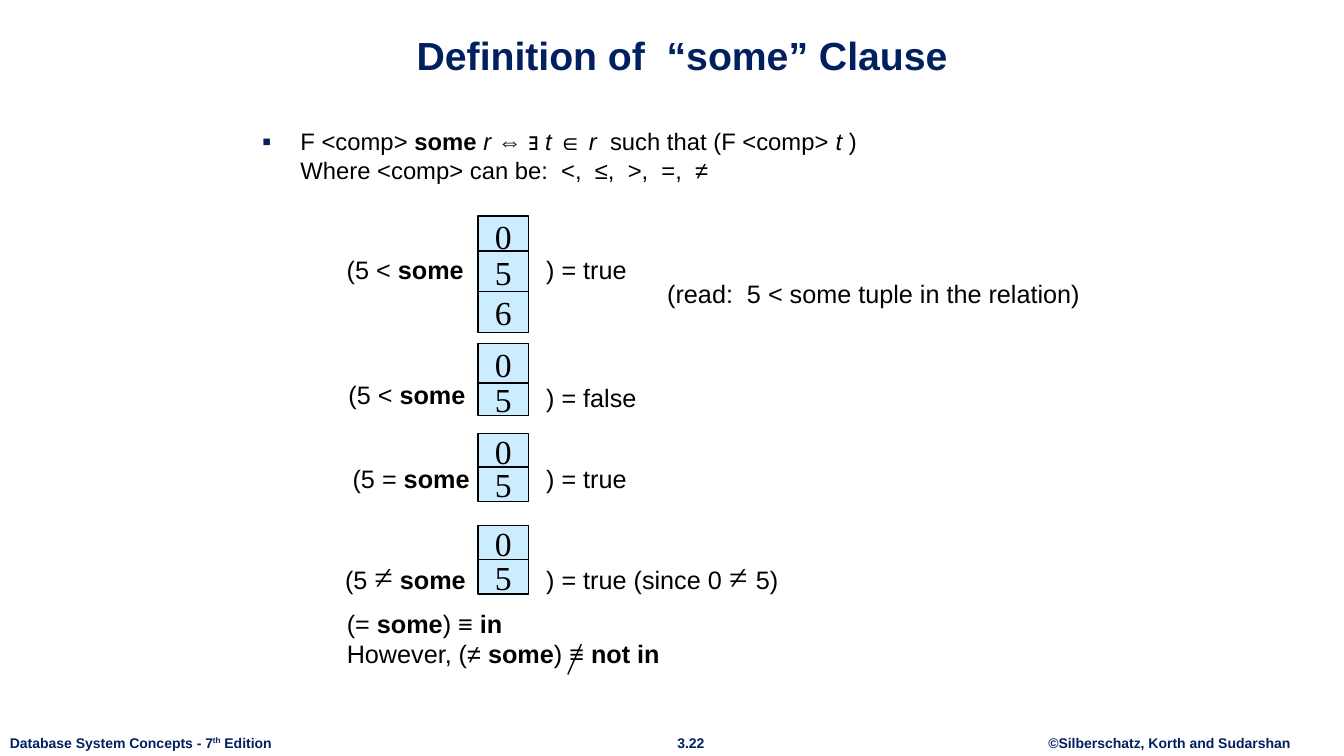
from lxml import etree
from pptx import Presentation
from pptx.dml.color import RGBColor
from pptx.enum.shapes import MSO_CONNECTOR, MSO_SHAPE
from pptx.enum.text import MSO_ANCHOR, MSO_AUTO_SIZE, PP_ALIGN
from pptx.oxml.ns import qn
from pptx.util import Inches, Pt

WIDE, HIGH = Inches(13.33), Inches(7.5)
COLS, ROWS = 160, 90
RECT, LINE = MSO_SHAPE.RECTANGLE, MSO_CONNECTOR.STRAIGHT
LEFT, MID = PP_ALIGN.LEFT, PP_ALIGN.CENTER
TOP, HALF, BASE = MSO_ANCHOR.TOP, MSO_ANCHOR.MIDDLE, MSO_ANCHOR.BOTTOM
FIXED = MSO_AUTO_SIZE.NONE
HUES = {"ink": "000000", "navy": "002060", "cell": "CCECFF"}

LOOKS = {
    "title": {"name": "Arial", "size": Pt(28), "bold": True, "hue": "navy"},
    "foot": {"name": "Arial", "size": Pt(10), "bold": True, "hue": "navy"},
    "body": {"name": "Arial", "size": Pt(17), "hue": "ink"},
    "label": {"name": "Arial", "size": Pt(18), "hue": "ink"},
    "value": {"name": "Times New Roman", "size": Pt(24), "hue": "ink"},
}
MARKS = {
    "": {},
    "b": {"bold": True},
    "i": {"italic": True},
    "sign": {"name": "Times New Roman", "size": Pt(24)},
    "sup": {"raise": "30000"},
}

CELL_X, CELL_W, END_X = 56.9, 6, 63.84
TESTS = [
    {"top": 25.7, "cells": [("0", 0, 4.9), ("5", 4.2, 4.9), ("6", 9, 4.9)],
     "start": (40.1, 4), "end": 4,
     "left": [("(5 < ", ""), ("some", "b")], "right": [(") = true", "")]},
    {"top": 40.9, "cells": [("0", 0, 5), ("5", 4.7, 3.9)],
     "start": (40.3, 3.7), "end": 4,
     "left": [("(5 < ", ""), ("some", "b")], "right": [(") = false", "")]},
    {"top": 51.6, "cells": [("0", 0, 4.1), ("5", 4, 4.1)],
     "start": (40.8, 3), "end": 3,
     "left": [("(5 = ", ""), ("some", "b")], "right": [(") = true", "")]},
    {"top": 62.6, "cells": [("0", 0, 4.1), ("5", 4, 4.1)],
     "start": (39.9, 3), "end": 3,
     "left": [("(5 ", ""), ("≠", "sign"), (" ", ""), ("some", "b")],
     "right": [(") = true (since 0 ", ""), ("≠ ", "sign"), ("5)", "")]},
]
RULE = [
    ("F <comp> ", ""), ("some ", "b"), ("r ", "i"), ("⇔ ∃ ", ""), ("t ", "i"),
    ("∈", ""), (" r  ", "i"), ("such that (F <comp> ", ""), ("t ", "i"),
    (")\nWhere <comp> can be:  <,  ≤,  >,  =,  ≠", ""),
]
SUMS = [
    [("(= ", ""), ("some", "b"), (") ≡ ", ""), ("in", "b")],
    [("However, (≠ ", ""), ("some", "b"), (") ≡ ", ""), ("not in", "b")],
]
FEET = [
    ((0, 86.8, 34.1, 3.2), LEFT,
     [("Database System Concepts - 7", ""), ("th", "sup"), (" Edition", "")]),
    ((79.3, 86.8, 5.9, 3.2), MID, [("3.22", "")]),
    ((123.4, 86.8, 31.6, 3.2), MID, [("©Silberschatz, Korth and Sudarshan", "")]),
]


def grid(box):
    """Turn columns and rows into slide lengths."""
    x, y, w, h = box
    return [round(n) for n in (x * WIDE / COLS, y * HIGH / ROWS,
                               w * WIDE / COLS, h * HIGH / ROWS)]


def tint(name):
    """Give the named colour."""
    return RGBColor.from_string(HUES[name])


def style(run, look):
    """Set the font of a run from format values."""
    for key, val in look.items():
        if key == "hue":
            run.font.color.rgb = tint(val)
        elif key == "raise":
            run.font._element.set("baseline", val)
        else:
            setattr(run.font, key, val)


def write(shape, paras, look, align=LEFT, anchor=TOP, wrap=True):
    """Fill a shape with paragraphs of marked runs."""
    frame = shape.text_frame
    values = {"word_wrap": wrap, "auto_size": FIXED, "vertical_anchor": anchor}
    for key, val in values.items():
        setattr(frame, key, val)
    for n, runs in enumerate(paras):
        para = frame.add_paragraph() if n else frame.paragraphs[0]
        para.alignment, para.space_before = align, Pt(0)
        for text, mark in runs:
            for k, part in enumerate(text.split("\n")):
                if k:
                    para.add_line_break()
                run = para.add_run()
                run.text = part
                style(run, LOOKS[look] | MARKS[mark])


def place(shape, box):
    """Move a placeholder to its box."""
    for key, val in zip(("left", "top", "width", "height"), grid(box)):
        setattr(shape, key, val)


def label(slide, box, paras, look="label", align=LEFT, wrap=True):
    """Add a text box."""
    write(slide.shapes.add_textbox(*grid(box)), paras, look, align, TOP, wrap)


def head(slide, box):
    """Set the title."""
    place(slide.shapes.title, box)
    write(slide.shapes.title, [[("Definition of  “some” Clause", "")]],
          "title", MID, BASE)


def rule(slide, box):
    """Set the bulleted definition."""
    body = slide.placeholders[1]
    place(body, box)
    props = body.text_frame.paragraphs[0]._p.get_or_add_pPr()
    props.set("marL", str(Inches(0.38)))
    props.set("indent", str(-Inches(0.38)))
    hue = etree.SubElement(props, qn("a:buClr"))
    etree.SubElement(hue, qn("a:srgbClr"), val=HUES["navy"])
    etree.SubElement(props, qn("a:buSzPct"), val="110000")
    etree.SubElement(props, qn("a:buFont"), typeface="Arial")
    etree.SubElement(props, qn("a:buChar"), char="▪")
    write(body, [RULE], "body")


def test(slide, item):
    """Draw one comparison with its column of values."""
    top = item["top"]
    for value, down, high in item["cells"]:
        cell = slide.shapes.add_shape(
            RECT, *grid((CELL_X, top + down, CELL_W, high)))
        cell.shadow.inherit = False
        cell.fill.solid()
        cell.fill.fore_color.rgb = tint("cell")
        cell.line.color.rgb, cell.line.width = tint("ink"), Pt(1)
        write(cell, [[(value, "")]], "value", MID, HALF, False)
    x, down = item["start"]
    label(slide, (x, top + down, 20, 4.8), [item["left"]])
    label(slide, (END_X, top + item["end"], 33, 4.8), [item["right"]])


def close(slide, box):
    """Write the equivalences and strike the last sign."""
    label(slide, box, SUMS)
    x, y = box[:2]
    left, top, wide, high = grid((x + 27.5, y + 4.9, 1.6, 3.6))
    slash = slide.shapes.add_connector(LINE, left + wide, top, left, top + high)
    slash.line.color.rgb, slash.line.width = tint("ink"), Pt(1)
    etree.SubElement(slash._element.spPr, qn("a:effectLst"))


def main():
    """Build and save the slide."""
    deck = Presentation()
    deck.slide_width, deck.slide_height = WIDE, HIGH
    slide = deck.slides.add_slide(deck.slide_layouts[1])
    for box, align, runs in FEET:
        label(slide, box, [runs], "foot", align, False)
    head(slide, (28.2, 1.9, 106, 8))
    rule(slide, (30, 14.5, 89.3, 9.4))
    for item in TESTS:
        test(slide, item)
    label(slide, (78.25, 32.6, 64, 4.8),
          [[("(read:  5 < some tuple in the relation)", "")]])
    close(slide, (40.1, 71.8, 89.3, 9.4))
    deck.save("out.pptx")


if __name__ == "__main__":
    main()
